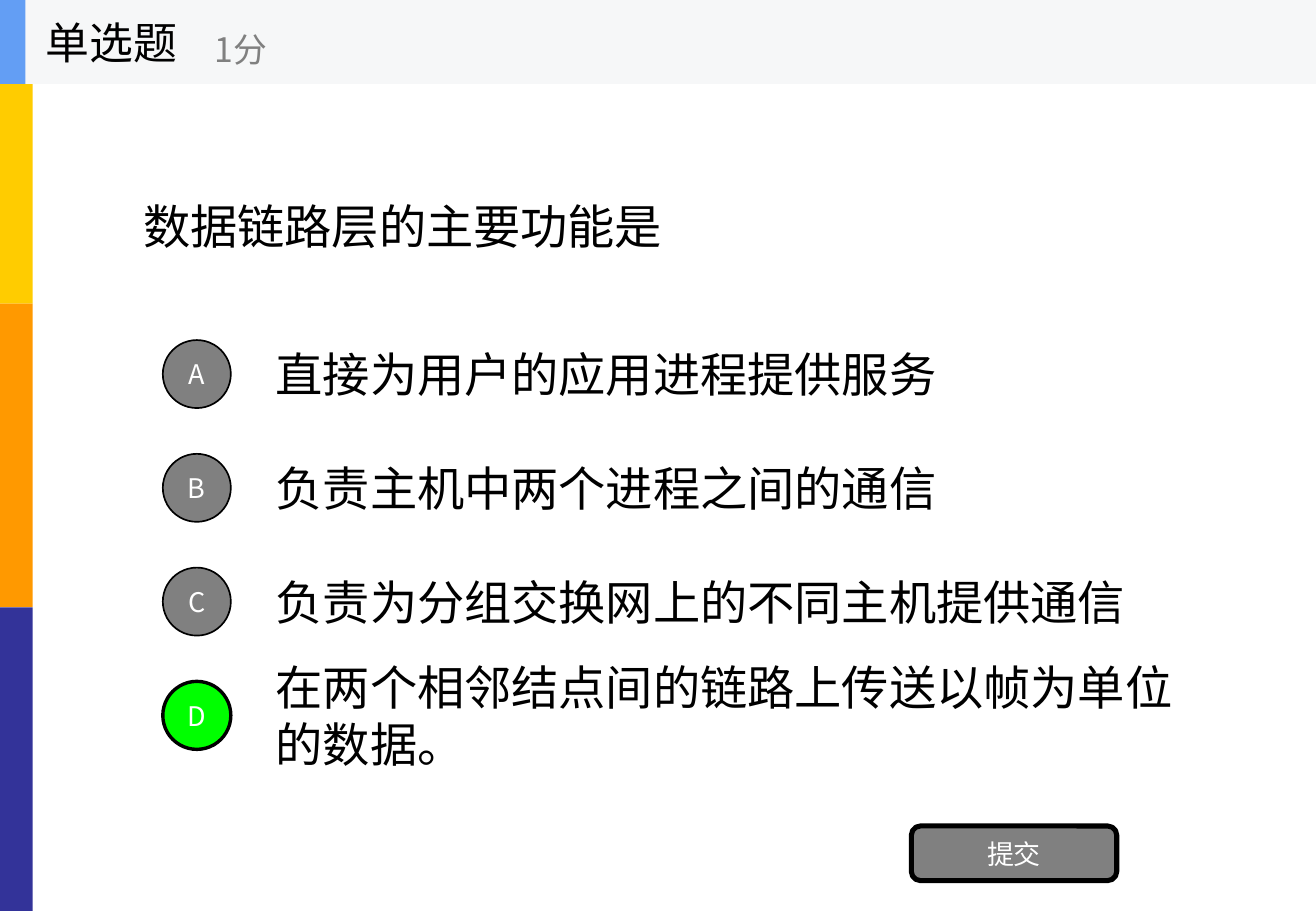
from lxml.etree import SubElement
from pptx import Presentation
from pptx.dml.color import RGBColor
from pptx.enum.shapes import MSO_SHAPE
from pptx.enum.text import MSO_ANCHOR, PP_ALIGN
from pptx.oxml.ns import qn
from pptx.util import Inches, Pt

COLORS = {
    "yellow": "FFCC00", "orange": "FF9900", "indigo": "333399",
    "black": "000000", "gray": "808080", "white": "FFFFFF",
    "green": "00FF00", "header": "F6F7F8", "blue": "639EF4",
}
CJK_FONT = "Noto Sans CJK SC"

presentation = Presentation()
presentation.slide_width = Inches(10.83)
presentation.slide_height = Inches(7.5)
slide = presentation.slides.add_slide(presentation.slide_layouts[6])


def write_text(shape, text, size, color, font=CJK_FONT, align=PP_ALIGN.LEFT):
    frame = shape.text_frame
    frame.word_wrap = True
    frame.vertical_anchor = MSO_ANCHOR.MIDDLE
    paragraph = frame.paragraphs[0]
    paragraph.text = text
    paragraph.alignment = align
    paragraph.font.size = Pt(size)
    paragraph.font.color.rgb = RGBColor.from_string(COLORS[color])
    paragraph.font.name = font
    properties = paragraph._p.pPr.find(qn("a:defRPr"))
    SubElement(properties, qn("a:ea")).set("typeface", CJK_FONT)


def add_block(kind, left, top, width, height, fill, line_width=0, text=""):
    shape = slide.shapes.add_shape(
        kind, Inches(left), Inches(top), Inches(width), Inches(height))
    shape.shadow.inherit = False
    shape.fill.solid()
    shape.fill.fore_color.rgb = RGBColor.from_string(COLORS[fill])
    if line_width:
        shape.line.color.rgb = RGBColor.from_string(COLORS["black"])
        shape.line.width = Pt(line_width)
    else:
        shape.line.fill.background()
    if text:
        write_text(shape, text, 16, "white", align=PP_ALIGN.CENTER)


for index, color in enumerate(["yellow", "orange", "indigo"]):
    add_block(MSO_SHAPE.RECTANGLE, 0, 2.5 * index, 0.27, 2.5, color)

question = slide.shapes.add_textbox(Inches(1.08), Inches(0.69), Inches(8.67), Inches(2.34))
write_text(question, "数据链路层的主要功能是", 28, "black", "Arial")

options = [
    ("A", "直接为用户的应用进程提供服务", "gray", 1),
    ("B", "负责主机中两个进程之间的通信", "gray", 1),
    ("C", "负责为分组交换网上的不同主机提供通信", "gray", 1),
    ("D", "在两个相邻结点间的链路上传送以帧为单位的数据。", "green", 2),
]
for index, (letter, answer, fill, line_width) in enumerate(options):
    top = 2.73 + index * 2.81 / 3
    answer_box = slide.shapes.add_textbox(Inches(2.17), Inches(top), Inches(7.58), Inches(0.7))
    write_text(answer_box, answer, 28, "black", "Arial")
    add_block(MSO_SHAPE.OVAL, 1.34, top + 0.07, 0.56, 0.56, fill, line_width, letter)

add_block(MSO_SHAPE.ROUNDED_RECTANGLE, 7.5, 6.8, 1.69, 0.45, "gray", 3, "提交")

add_block(MSO_SHAPE.RECTANGLE, 0, 0, 10.83, 0.69, "header")
add_block(MSO_SHAPE.RECTANGLE, 0, 0, 0.21, 0.69, "blue")
title = slide.shapes.add_textbox(Inches(0.28), Inches(0), Inches(2.08), Inches(0.69))
write_text(title, "单选题", 26, "black")
score = slide.shapes.add_textbox(Inches(1.67), Inches(0.12), Inches(2.5), Inches(0.56))
write_text(score, "1分", 20, "gray")

presentation.save("out.pptx")
